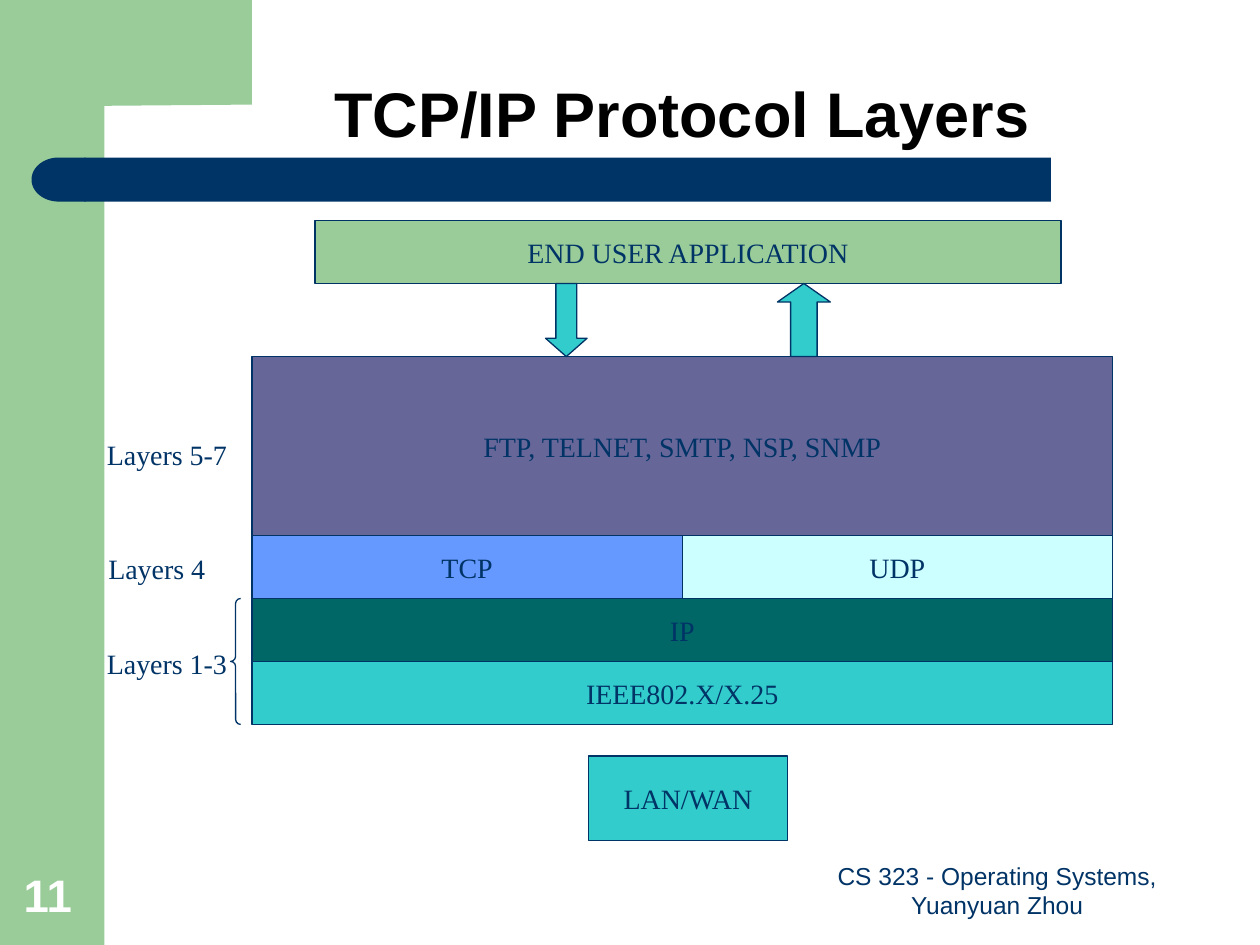
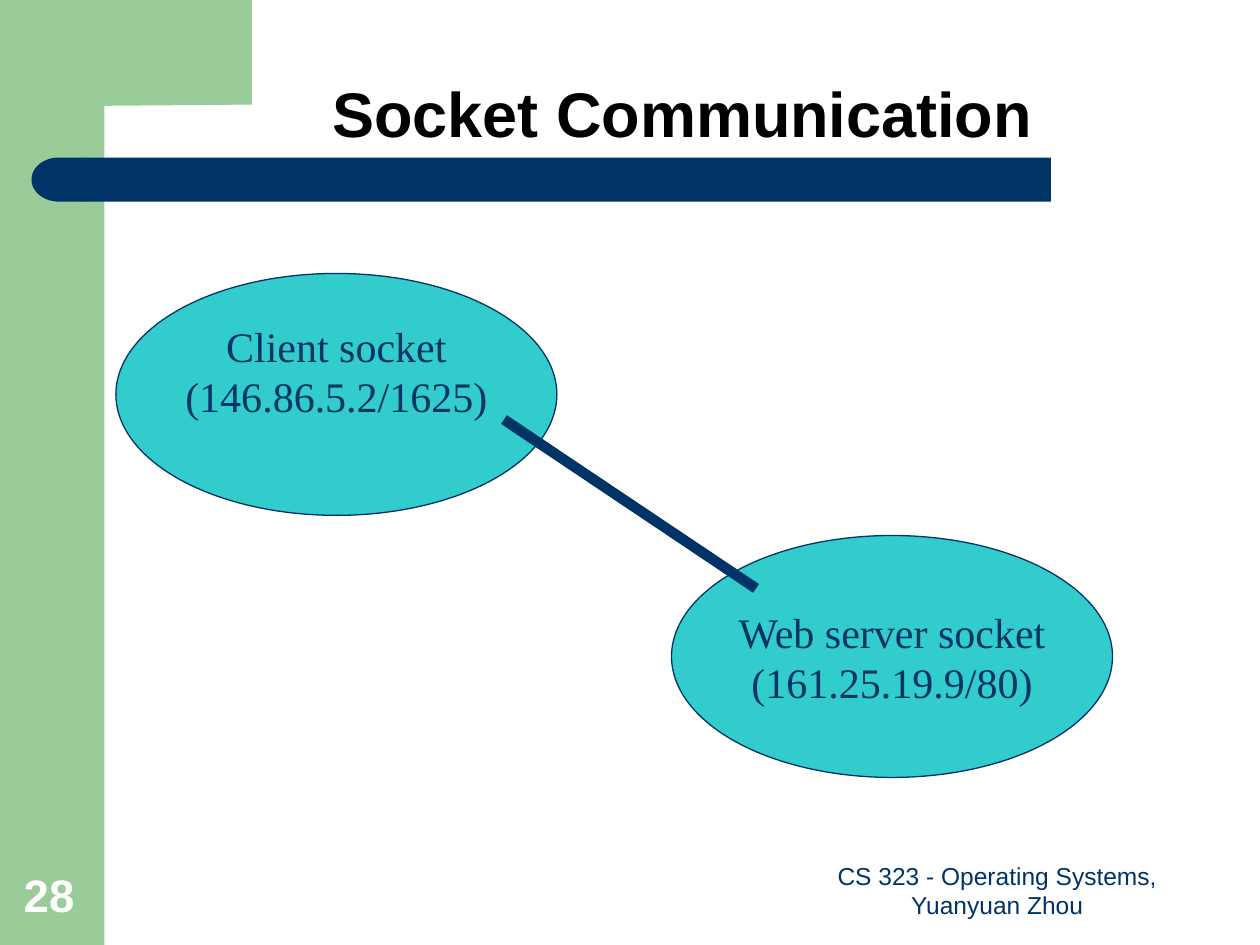
from dataclasses import dataclass

from lxml import etree
from pptx import Presentation
from pptx.dml.color import RGBColor
from pptx.enum.shapes import MSO_CONNECTOR, MSO_SHAPE
from pptx.enum.text import MSO_ANCHOR, MSO_AUTO_SIZE, PP_ALIGN
from pptx.oxml.ns import qn
from pptx.util import Inches, Pt


@dataclass(frozen=True)
class Theme:
    navy: str = "003366"
    green: str = "99CC99"
    teal: str = "33CCCC"
    dark_teal: str = "006666"
    purple: str = "666699"
    blue: str = "6699FF"
    pale: str = "CCFFFF"
    black: str = "000000"
    white: str = "FFFFFF"
    sans: str = "Arial"
    serif: str = "Times New Roman"
    title_size: int = 36
    number_size: int = 26
    socket_size: int = 24
    label_size: int = 16
    footer_size: int = 14
    outline: float = 0.75
    link: float = 6


THEME = Theme()
FOOTER = "CS 323 - Operating Systems, Yuanyuan Zhou"


def rgb(color):
    return RGBColor.from_string(color)


def write(sp, text, size, font=THEME.serif, color=THEME.navy, bold=False,
          align=PP_ALIGN.CENTER, anchor=MSO_ANCHOR.MIDDLE, wrap=False):
    tf = sp.text_frame
    tf.text = text
    tf.auto_size = MSO_AUTO_SIZE.NONE
    tf.word_wrap = wrap
    tf.vertical_anchor = anchor
    for p in tf.paragraphs:
        p.alignment = align
        for r in p.runs:
            r.font.size = Pt(size)
            r.font.name = font
            r.font.bold = bold
            r.font.color.rgb = rgb(color)


def paint(sp, fill=None, outlined=True):
    sp.shadow.inherit = False
    if fill:
        sp.fill.solid()
        sp.fill.fore_color.rgb = rgb(fill)
    else:
        sp.fill.background()
    if outlined:
        sp.line.color.rgb = rgb(THEME.navy)
        sp.line.width = Pt(THEME.outline)
    else:
        sp.line.fill.background()


def add_shape(slide, kind, box, fill=None, text="", size=THEME.label_size,
              outlined=True, adjust=()):
    sp = slide.shapes.add_shape(kind, *map(Inches, box))
    paint(sp, fill, outlined)
    for i, value in enumerate(adjust):
        sp.adjustments[i] = value
    if text:
        write(sp, text, size)
    return sp


def add_text(slide, box, text, size, **style):
    sp = slide.shapes.add_textbox(*map(Inches, box))
    write(sp, text, size, **style)


def add_link(slide, start, end):
    line = slide.shapes.add_connector(
        MSO_CONNECTOR.STRAIGHT, *map(Inches, start + end))
    line.line.color.rgb = rgb(THEME.navy)
    line.line.width = Pt(THEME.link)
    etree.SubElement(line._element.spPr, qn("a:effectLst"))


def add_frame(slide):
    # Green side band and corner
    add_shape(slide, MSO_SHAPE.RECTANGLE, (0, 0, 0.83, 7.5), THEME.green,
              outlined=False)
    corner = [(2, 0), (2, 0.83), (0.83, 0.84), (0.71, 0.92), (0.67, 1.16),
              (0.67, 1.28), (0.5, 1.28), (0.5, 0)]
    points = [(Inches(x), Inches(y)) for x, y in corner]
    builder = slide.shapes.build_freeform(*points[0])
    builder.add_line_segments(points[1:], close=True)
    paint(builder.convert_to_shape(), THEME.green, outlined=False)

    # Navy bar with a rounded left end
    add_shape(slide, MSO_SHAPE.RECTANGLE, (0.67, 1.25, 7.67, 0.35),
              THEME.navy, outlined=False)
    cap = add_shape(slide, MSO_SHAPE.FLOWCHART_DELAY, (0.25, 1.25, 0.43, 0.35),
                    THEME.navy, outlined=False)
    cap.rotation = 180


def new_slide(prs, title, number):
    slide = prs.slides.add_slide(prs.slide_layouts[5])
    add_frame(slide)

    # Title
    sp = slide.shapes.title
    sp.left, sp.top, sp.width, sp.height = map(Inches, (1.08, 0, 8.67, 1.25))
    write(sp, title, THEME.title_size, THEME.sans, THEME.black, bold=True,
          anchor=MSO_ANCHOR.BOTTOM, wrap=True)
    sp.text_frame.paragraphs[0].line_spacing = 0.9

    # Footer and slide number
    add_text(slide, (6.33, 6.83, 3.17, 0.52), FOOTER, THEME.footer_size,
             font=THEME.sans, anchor=MSO_ANCHOR.BOTTOM, wrap=True)
    add_text(slide, (0.09, 6.83, 0.64, 0.53), str(number), THEME.number_size,
             font=THEME.sans, color=THEME.white, bold=True,
             align=PP_ALIGN.LEFT, anchor=MSO_ANCHOR.BOTTOM, wrap=True)
    return slide


def protocol_layers(prs):
    slide = new_slide(prs, "TCP/IP Protocol Layers", 11)
    add_shape(slide, MSO_SHAPE.RECTANGLE, (2.5, 1.75, 5.92, 0.5), THEME.green,
              "END USER APPLICATION")

    # Protocol stack: each row splits the full width evenly
    left, top, width = 2, 2.83, 6.83
    rows = [
        (1.42, [("FTP, TELNET, SMTP, NSP, SNMP", THEME.purple)]),
        (0.5, [("TCP", THEME.blue), ("UDP", THEME.pale)]),
        (0.5, [("IP", THEME.dark_teal)]),
        (0.5, [("IEEE802.X/X.25", THEME.teal)]),
    ]
    for height, cells in rows:
        cell_width = width / len(cells)
        for i, (name, fill) in enumerate(cells):
            box = (left + i * cell_width, top, cell_width, height)
            add_shape(slide, MSO_SHAPE.RECTANGLE, box, fill, name)
        top += height
    add_shape(slide, MSO_SHAPE.RECTANGLE, (4.67, 6, 1.58, 0.67), THEME.teal,
              "LAN/WAN")

    # Data flow between application and stack
    add_shape(slide, MSO_SHAPE.DOWN_ARROW, (4.33, 2.25, 0.33, 0.58),
              THEME.teal, adjust=(0.5, 0.44))
    add_shape(slide, MSO_SHAPE.UP_ARROW, (6.17, 2.25, 0.42, 0.58),
              THEME.teal, adjust=(0.5, 0.35))

    # Layer labels
    labels = [("Layers 5-7", 0.75, 3.42, 1.15), ("Layers 4", 0.76, 4.33, 0.97),
              ("Layers 1-3", 0.75, 5.08, 1.15)]
    for name, x, y, label_width in labels:
        add_text(slide, (x, y, label_width, 0.37), name, THEME.label_size,
                 anchor=MSO_ANCHOR.TOP)
    add_shape(slide, MSO_SHAPE.LEFT_BRACE, (1.83, 4.75, 0.08, 1),
              adjust=(0.5, 0.5))


def socket_communication(prs):
    slide = new_slide(prs, "Socket Communication", 28)

    # Socket endpoints
    client = add_shape(slide, MSO_SHAPE.OVAL, (0.92, 2.17, 3.5, 1.92),
                       THEME.teal, "Client socket\n(146.86.5.2/1625)",
                       THEME.socket_size)
    client.text_frame.margin_bottom = Inches(0.43)
    add_shape(slide, MSO_SHAPE.OVAL, (5.33, 4.25, 3.5, 1.92), THEME.teal,
              "Web server socket\n(161.25.19.9/80)", THEME.socket_size)

    # Connection
    add_link(slide, (4, 3.33), (6, 4.67))


def main():
    prs = Presentation()
    prs.slide_width, prs.slide_height = Inches(10), Inches(7.5)
    protocol_layers(prs)
    socket_communication(prs)
    prs.save("out.pptx")


if __name__ == "__main__":
    main()
